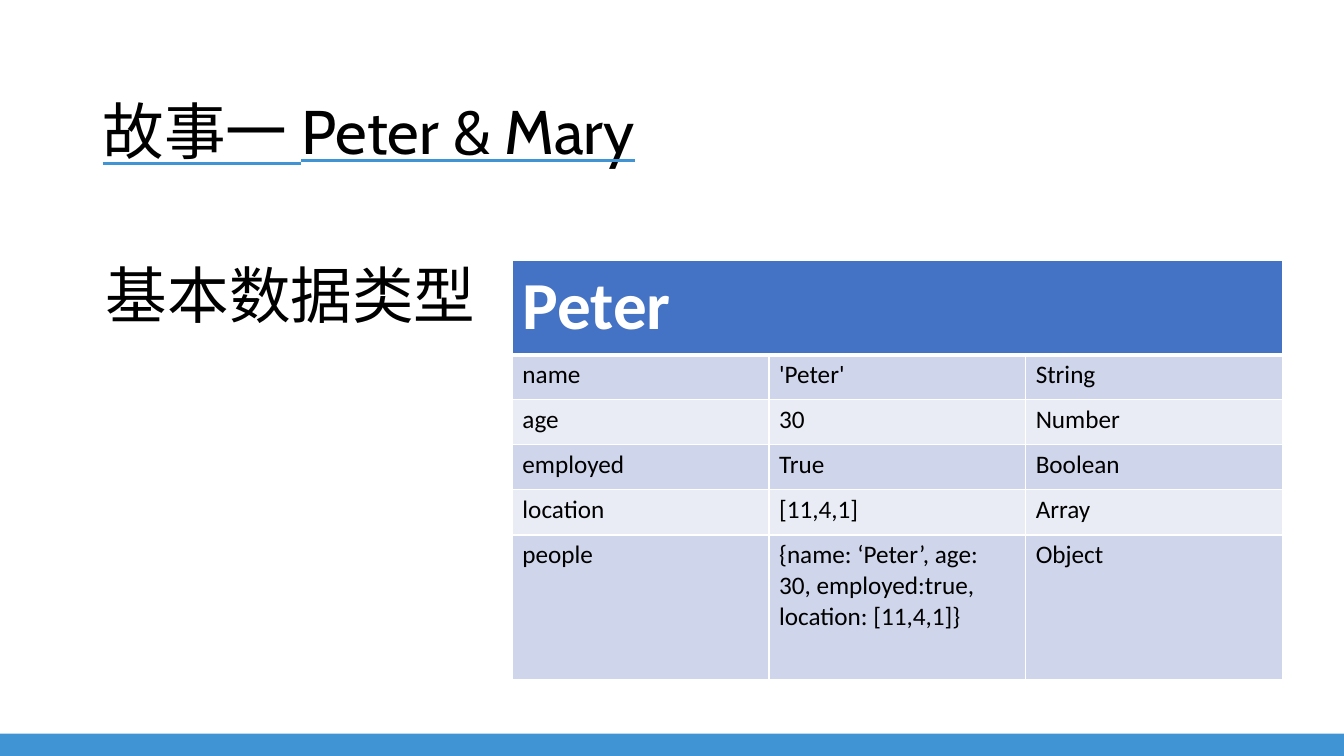
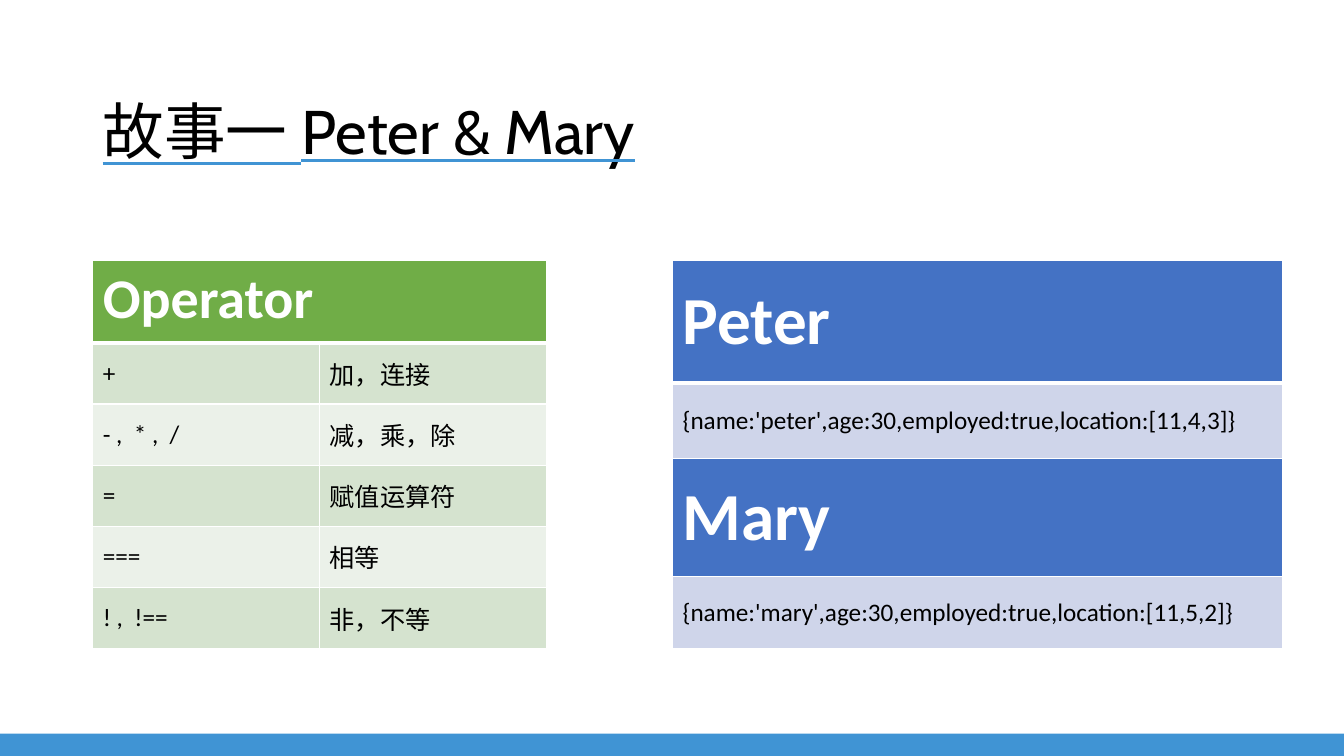
from lxml.etree import SubElement
from pptx import Presentation
from pptx.dml.color import RGBColor as RGB
from pptx.enum.shapes import MSO_SHAPE as SHAPE
from pptx.enum.text import MSO_ANCHOR as ANCHOR, PP_ALIGN as ALIGN
from pptx.oxml.ns import qn
from pptx.util import Pt

COLORS = {
    "accent": "4094D4", "black": "000000", "white": "FFFFFF",
    "blue": "4472C4", "blue_dark": "CFD5EA", "blue_light": "E9EBF5",
    "green": "70AD47", "green_dark": "D5E3CF", "green_light": "EBF1E9",
}
W, H, LEFT, TOP = 960, 540, 66.24, 185.9


class Deck:
    title_text = "故事一 Peter & Mary"
    heading = {"name": "Cabin", "size": Pt(44)}
    cell_text = {"name": "Calibri", "size": Pt(18), "bold": False}

    def __init__(self):
        self.prs = Presentation()
        self.prs.slide_width, self.prs.slide_height = Pt(W), Pt(H)
        self.slide = None

    def new_slide(self):
        self.slide = self.prs.slides.add_slide(self.prs.slide_layouts[6])
        self.band()
        self.text(self.title_text, 62, 599, 67.7, ANCHOR.MIDDLE, underline=True)

    def band(self):
        sp = self.slide.shapes.add_shape(
            SHAPE.RECTANGLE, 0, Pt(524), Pt(W), Pt(H - 524))
        sp.shadow.inherit = False
        sp.fill.solid()
        sp.fill.fore_color.rgb = RGB.from_string(COLORS["accent"])
        sp.line.fill.background()

    def run(self, p, text, color, formats):
        r = p.add_run()
        r.text = text
        r.font.color.rgb = RGB.from_string(COLORS[color])
        if formats.get("underline"):
            self.solid(SubElement(r.font._element, qn("a:uFill")), "accent")
        for key, value in formats.items():
            setattr(r.font, key, value)

    def solid(self, parent, color):
        fill = SubElement(parent, qn("a:solidFill"))
        SubElement(fill, qn("a:srgbClr"), val=COLORS[color])

    def text(self, text, y, w, h, anchor, underline=False, **layout):
        tf = self.slide.shapes.add_textbox(Pt(LEFT), Pt(y), Pt(w), Pt(h)).text_frame
        tf.word_wrap, tf.vertical_anchor = True, anchor
        p = tf.paragraphs[0]
        for key, value in {"line_spacing": 0.9, **layout}.items():
            setattr(p, key, value)
        self.run(p, text, "black", {**self.heading, "underline": underline})

    def borders(self, cell, bottom):
        tcPr = cell._tc.get_or_add_tcPr()
        for side, width in zip("LRTB", (1, 1, 1, bottom)):
            ln = SubElement(tcPr, qn(f"a:ln{side}"), w=str(Pt(width)))
            self.solid(ln, "white")

    def table(self, x, width, heights, rows, theme, head_size,
              heads=(0,), head_anchor=ANCHOR.TOP, anchor=ANCHOR.MIDDLE):
        cols = max(len(row) for row in rows)
        tbl = self.slide.shapes.add_table(
            len(rows), cols, Pt(x), Pt(TOP), Pt(width), Pt(sum(heights))).table
        for col in tbl.columns:
            col.width = Pt(width / cols)
        for i, (row, height) in enumerate(zip(rows, heights)):
            tbl.rows[i].height = Pt(height)
            is_head = i in heads
            shade = theme if is_head else theme + ("_dark" if i % 2 else "_light")
            color = "white" if is_head else "black"
            formats = dict(self.cell_text)
            if is_head:
                formats.update(size=Pt(head_size), bold=True)
            for j in range(cols):
                cell = tbl.cell(i, j)
                self.borders(cell, 3 if i == 0 else 1)
                cell.fill.solid()
                cell.fill.fore_color.rgb = RGB.from_string(COLORS[shade])
                cell.vertical_anchor = head_anchor if is_head else anchor
                if j < len(row):
                    self.run(cell.text_frame.paragraphs[0], row[j], color, formats)
            if len(row) < cols:
                tbl.cell(i, 0).merge(tbl.cell(i, cols - 1))


deck = Deck()

deck.new_slide()
deck.table(366, 550, [67.5] + [32.2] * 4 + [103.7], [
    ["Peter"],
    ["name", "'Peter'", "String"],
    ["age", "30", "Number"],
    ["employed", "True", "Boolean"],
    ["location", "[11,4,1]", "Array"],
    ["people", "{name: ‘Peter’, age: 30, employed:true, location: [11,4,1]}", "Object"],
], "blue", 48, anchor=ANCHOR.TOP)
deck.text("基本数据类型", TOP, 283, 300, ANCHOR.TOP,
          alignment=ALIGN.CENTER, space_before=Pt(10))

deck.new_slide()
deck.table(480.4, 435.6, [87.8, 54, 84.2, 51.1], [
    ["Peter"],
    ["{name:'peter',age:30,employed:true,location:[11,4,3]}"],
    ["Mary"],
    ["{name:'mary',age:30,employed:true,location:[11,5,2]}"],
], "blue", 48, heads=(0, 2), head_anchor=ANCHOR.MIDDLE)
deck.table(LEFT, 324, [59] + [43.7] * 5, [
    ["Operator"],
    ["+", "加，连接"],
    ["- ,  * ,  /", "减，乘，除"],
    ["=", "赋值运算符"],
    ["===", "相等"],
    ["! ,  !==", "非，不等"],
], "green", 40)

deck.prs.save("out.pptx")
